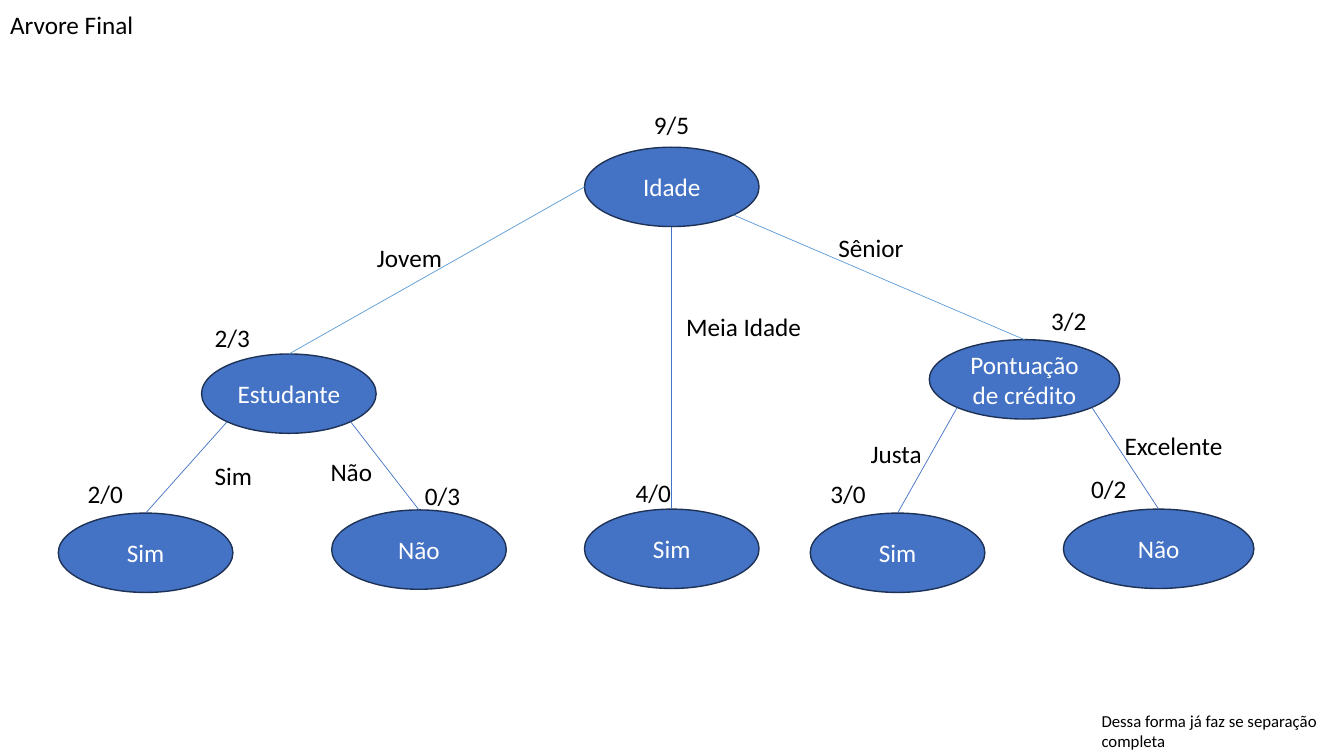
from lxml import etree
from pptx import Presentation
from pptx.dml.color import RGBColor
from pptx.enum.shapes import MSO_CONNECTOR, MSO_SHAPE
from pptx.enum.text import MSO_ANCHOR, MSO_AUTO_SIZE, PP_ALIGN
from pptx.oxml.ns import qn
from pptx.util import Cm, Pt

STRAIGHT = MSO_CONNECTOR.STRAIGHT
OVAL = MSO_SHAPE.OVAL
TOP, MIDDLE = MSO_ANCHOR.TOP, MSO_ANCHOR.MIDDLE
LEFT, CENTER = PP_ALIGN.LEFT, PP_ALIGN.CENTER
NO_AUTOFIT = MSO_AUTO_SIZE.NONE

BLUE = RGBColor(0x44, 0x72, 0xC4)
LIGHT_BLUE = RGBColor(0x5B, 0x9B, 0xD5)
NAVY = RGBColor(0x1E, 0x32, 0x56)
WHITE = RGBColor(0xFF, 0xFF, 0xFF)
BLACK = RGBColor(0, 0, 0)

NODE_WIDTH, WIDE_NODE_WIDTH, NODE_HEIGHT = 4.4, 4.8, 2.0
TEXT_HEIGHT = 1.02
COUNT_WIDTH = 2.03
DIAGONAL = 0.3536  # share of an ellipse's size from its centre to its 45° point


def write(shape, text, size=18, color=BLACK, align=LEFT, anchor=TOP, wrap=True):
    frame = shape.text_frame
    frame.auto_size = NO_AUTOFIT
    frame.word_wrap = wrap
    frame.vertical_anchor = anchor
    paragraph = frame.paragraphs[0]
    paragraph.alignment = align
    run = paragraph.add_run()
    run.text = text
    run.font.name = "Calibri"
    run.font.size = Pt(size)
    run.font.color.rgb = color


prs = Presentation()
prs.slide_width, prs.slide_height = Cm(33.87), Cm(19.05)
slide = prs.slides.add_slide(prs.slide_layouts[5])
shapes = slide.shapes

heading = shapes.title
heading.left, heading.top = Cm(0), Cm(0.1)
heading.width, heading.height = Cm(4.98), Cm(TEXT_HEIGHT)
write(heading, "Arvore Final")

# Tree nodes: key, text, left, top, width
nodes = {}
for key, text, left, top, width in [
    ("age", "Idade", 14.73, 3.71, NODE_WIDTH),
    ("middle_aged", "Sim", 14.73, 12.83, NODE_WIDTH),
    ("student", "Estudante", 5.08, 8.92, NODE_WIDTH),
    ("student_yes", "Sim", 1.47, 12.93, NODE_WIDTH),
    ("student_no", "Não", 8.36, 12.85, NODE_WIDTH),
    ("credit_fair", "Sim", 20.42, 12.93, NODE_WIDTH),
    ("credit", "Pontuação de crédito", 23.42, 8.56, WIDE_NODE_WIDTH),
    ("credit_excellent", "Não", 26.8, 12.83, WIDE_NODE_WIDTH),
]:
    node = shapes.add_shape(OVAL, Cm(left), Cm(top), Cm(width), Cm(NODE_HEIGHT))
    node.shadow.inherit = False
    node.fill.solid()
    node.fill.fore_color.rgb = BLUE
    node.line.color.rgb = NAVY
    node.line.width = Pt(1)
    write(node, text, color=WHITE, align=CENTER, anchor=MIDDLE)
    nodes[key] = node

# Branches: parent, child, start offset from the parent's centre as shares of its size
for parent_key, child_key, dx, dy, color in [
    ("age", "student", -0.5, 0, LIGHT_BLUE),
    ("student", "student_yes", -DIAGONAL, DIAGONAL, BLUE),
    ("student", "student_no", DIAGONAL, DIAGONAL, BLUE),
    ("age", "middle_aged", 0, 0.5, BLUE),
    ("age", "credit", DIAGONAL, DIAGONAL, LIGHT_BLUE),
    ("credit", "credit_fair", -DIAGONAL, DIAGONAL, BLUE),
    ("credit", "credit_excellent", DIAGONAL, DIAGONAL, BLUE),
]:
    parent, child = nodes[parent_key], nodes[child_key]
    start_x = int(parent.left + parent.width * (0.5 + dx))
    start_y = int(parent.top + parent.height * (0.5 + dy))
    branch = shapes.add_connector(
        STRAIGHT, start_x, start_y, child.left + child.width // 2, child.top
    )
    branch.end_connect(child, 0)
    branch.line.color.rgb = color
    branch.line.width = Pt(0.5)
    etree.SubElement(branch.element.spPr, qn("a:effectLst"))

branch_labels = [
    ("Jovem", 9.25, 5.97, 2.16),
    ("Meia Idade", 17.04, 7.72, 3.45),
    ("Sênior", 20.88, 5.72, 2.18),
    ("Justa", 21.69, 10.92, 1.8),
    ("Excelente", 28.09, 10.72, 3.0),
    ("Não", 8.08, 11.38, 1.57),
    ("Sim", 5.16, 11.48, 1.47),
]
for text, left, top, width in branch_labels:
    label = shapes.add_textbox(Cm(left), Cm(top), Cm(width), Cm(TEXT_HEIGHT))
    write(label, text, wrap=False)

class_counts = [
    ("9/5", 16.23, 2.64),
    ("2/3", 5.16, 8.0),
    ("4/0", 15.77, 11.91),
    ("3/2", 26.24, 7.57),
    ("2/0", 1.96, 11.94),
    ("0/3", 10.46, 11.99),
    ("3/0", 20.68, 11.94),
    ("0/2", 27.25, 11.81),
]
for text, left, top in class_counts:
    count = shapes.add_textbox(Cm(left), Cm(top), Cm(COUNT_WIDTH), Cm(TEXT_HEIGHT))
    write(count, text)

footnote = shapes.add_textbox(Cm(27.51), Cm(17.78), Cm(6.36), Cm(1.27))
write(footnote, "Dessa forma já faz se separação completa", size=12)

prs.save("out.pptx")
